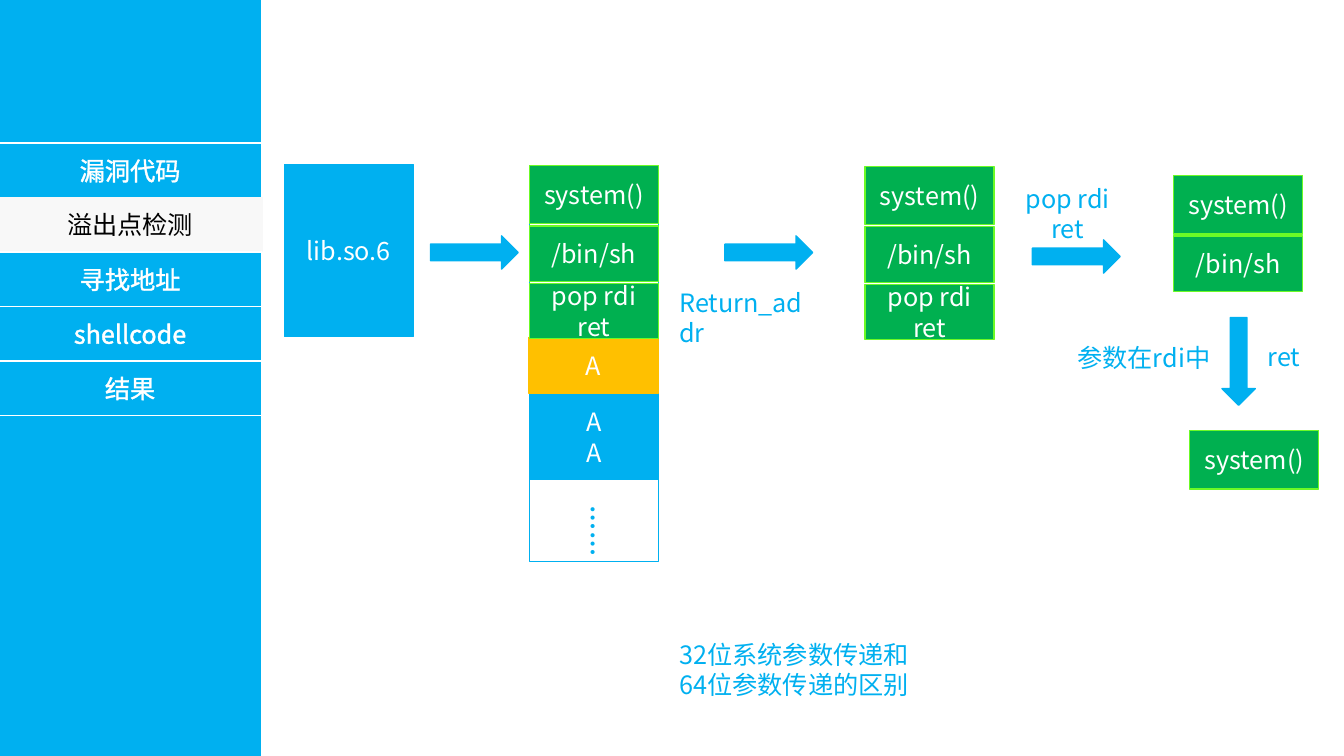
import pptx
import pptx.util
import pptx.dml.color
import pptx.enum.shapes
import pptx.enum.text
from lxml import etree

PX = 9144  # 100 px to the inch
FONT = "Noto Sans CJK SC"
COLOURS = {"blue": "00B0F0", "green": "00B050", "lime": "6CFA26", "amber": "FFC000",
           "white": "FFFFFF", "pale": "F8F8F8", "black": "000000"}
MSO = pptx.enum.shapes.MSO_SHAPE
ALIGN = pptx.enum.text.PP_ALIGN
ANCHOR = pptx.enum.text.MSO_ANCHOR
A = "http://schemas.openxmlformats.org/drawingml/2006/main"


def rgb(name):
    return pptx.dml.color.RGBColor.from_string(COLOURS[name])


def emu(box):
    return [v * PX for v in box]


def write(tf, text, colour, align=ALIGN.CENTER, bold=None):
    tf.word_wrap = True
    for i, line in enumerate(text.split("\n")):
        p = tf.paragraphs[0] if i == 0 else tf.add_paragraph()
        p.alignment = align
        p.add_run().text = line
        f = p.font
        f.size = pptx.util.Pt(18)
        f.bold = bold
        f.color.rgb = rgb(colour)
        f.name = FONT
        etree.SubElement(f._element, f"{{{A}}}ea", typeface=FONT)


def outline_text(tf):
    """Give each run a thin white outline."""
    for p in tf.paragraphs:
        for r in p.runs:
            ln = etree.Element(f"{{{A}}}ln", w="9525")
            fill = etree.SubElement(ln, f"{{{A}}}solidFill")
            etree.SubElement(fill, f"{{{A}}}srgbClr", val=COLOURS["white"])
            r.font._element.insert(0, ln)


def add_block(s, box, fill, line, text="", colour="white", kind=MSO.RECTANGLE):
    sp = s.shapes.add_shape(kind, *emu(box))
    sp.shadow.inherit = False
    sp.fill.solid()
    sp.fill.fore_color.rgb = rgb(fill)
    sp.line.color.rgb = rgb(line)
    sp.line.width = pptx.util.Pt(1)
    if text:
        sp.text_frame.vertical_anchor = ANCHOR.MIDDLE
        write(sp.text_frame, text, colour)
    return sp


def add_label(s, box, text, align=ALIGN.CENTER, bold=None):
    sp = s.shapes.add_textbox(*emu(box))
    write(sp.text_frame, text, "blue", align, bold)
    sp.text_frame.auto_size = pptx.enum.text.MSO_AUTO_SIZE.SHAPE_TO_FIT_TEXT
    return sp


def add_arrow(s, x, y, rotation=0):
    sp = add_block(s, (x, y, 87, 33), "blue", "blue", kind=MSO.RIGHT_ARROW)
    sp.rotation = rotation


def add_sidebar(s, box, items, current):
    x, y, w, h = box
    add_block(s, box, "blue", "blue")
    for i, item in enumerate(items):
        row = (x - 2, y + 142 + i * 54, w + 4, 54)
        if item == current:
            add_block(s, row, "pale", "pale", item, "black")
        else:
            outline_text(add_block(s, row, "blue", "white", item).text_frame)


def add_gadgets(s, x, y, count):
    """Stack the first count entries of the call chain downwards."""
    chain = [("system()", 0, 58), ("/bin/sh", 60, 55), ("pop rdi\nret", 117, 55)]
    for text, dy, h in chain[:count]:
        add_block(s, (x, y + dy, 128, h), "green", "lime", text)


def add_overflowed_stack(s, box):
    x, y, w, h = box
    add_block(s, box, "white", "blue")
    add_block(s, (x, y + 225, w, 85), "blue", "blue", "A\nA")
    dots = add_label(s, (x + 34, y + 326, 50, 84), "……", ALIGN.LEFT, True)
    dots.text_frame._txBody.bodyPr.set("vert", "eaVert")
    add_block(s, (x - 1, y + 169, w + 1, 55), "amber", "amber", "A")
    add_gadgets(s, x, y - 2, 3)


def add_argument_flow(s, x, y):
    """Show the pops that load rdi and return into system()."""
    add_label(s, (x - 104, y + 3, 278, 70), "pop rdi\nret")
    add_arrow(s, x, y + 64)
    add_gadgets(s, x + 140, y, 2)
    add_gadgets(s, x + 156, y + 253, 1)
    add_arrow(s, x + 161, y + 168, 90)
    add_label(s, (x + 156, y + 160, 187, 40), "ret")
    add_label(s, (x + 17, y + 161, 187, 40), "参数在rdi中")


def main():
    prs = pptx.Presentation()
    prs.slide_width, prs.slide_height = emu((1333, 750))
    s = prs.slides.add_slide(prs.slide_layouts[6])

    add_overflowed_stack(s, (525, 166, 128, 391))
    add_block(s, (282, 163, 128, 171), "blue", "blue", "lib.so.6")
    add_arrow(s, 427, 234)
    add_arrow(s, 719, 234)
    add_label(s, (664, 280, 153, 40), "Return_addr", ALIGN.LEFT)
    add_gadgets(s, 858, 165, 3)
    add_argument_flow(s, 1024, 174)
    add_label(s, (664, 629, 273, 71), "32位系统参数传递和64位参数传递的区别", ALIGN.LEFT)
    add_sidebar(s, (0, 0, 258, 750),
                ["漏洞代码", "溢出点检测", "寻找地址", "shellcode", "结果"], "溢出点检测")
    prs.save("out.pptx")


if __name__ == "__main__":
    main()
